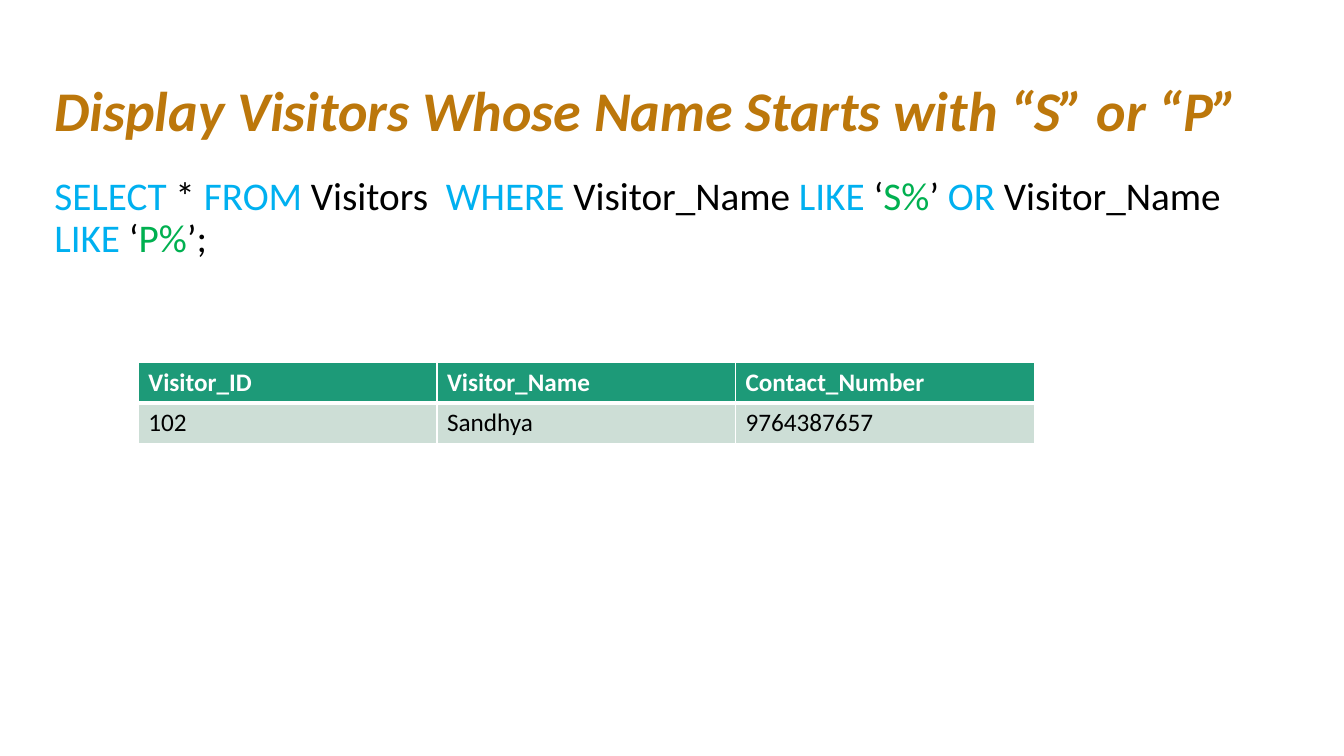
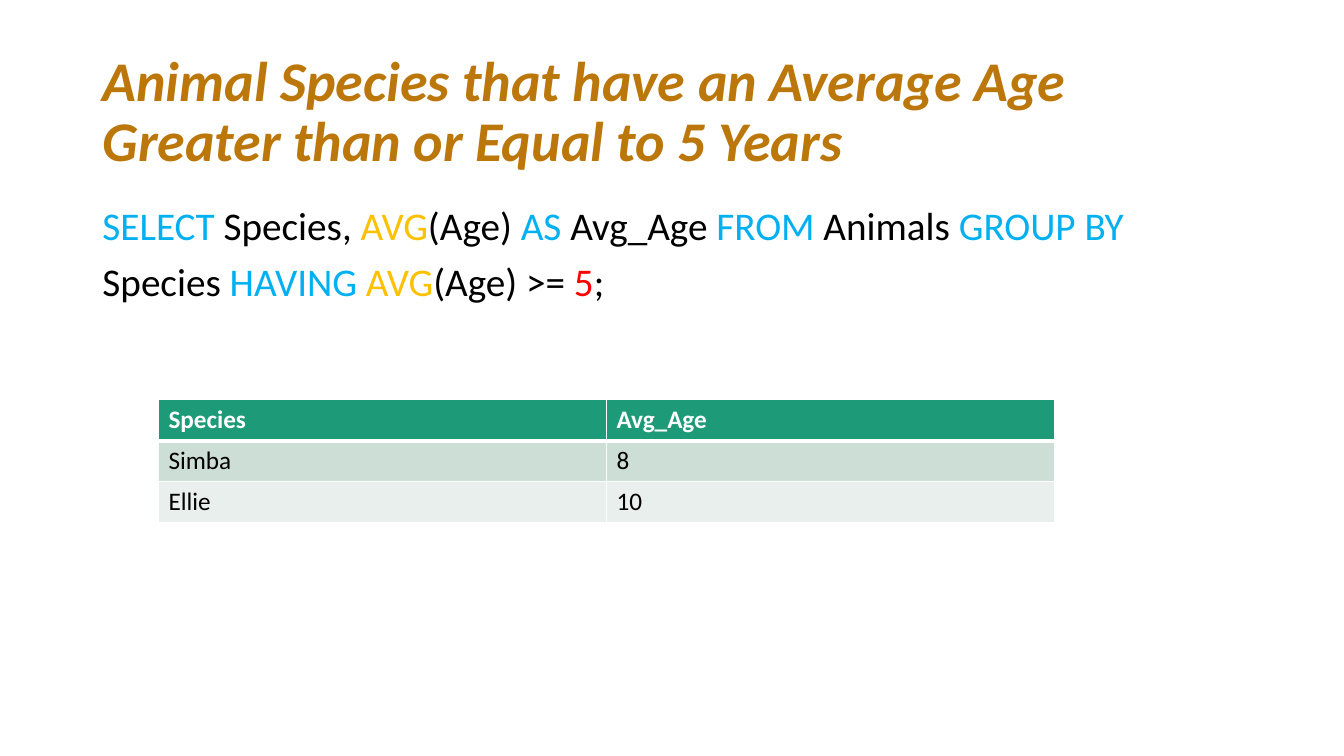
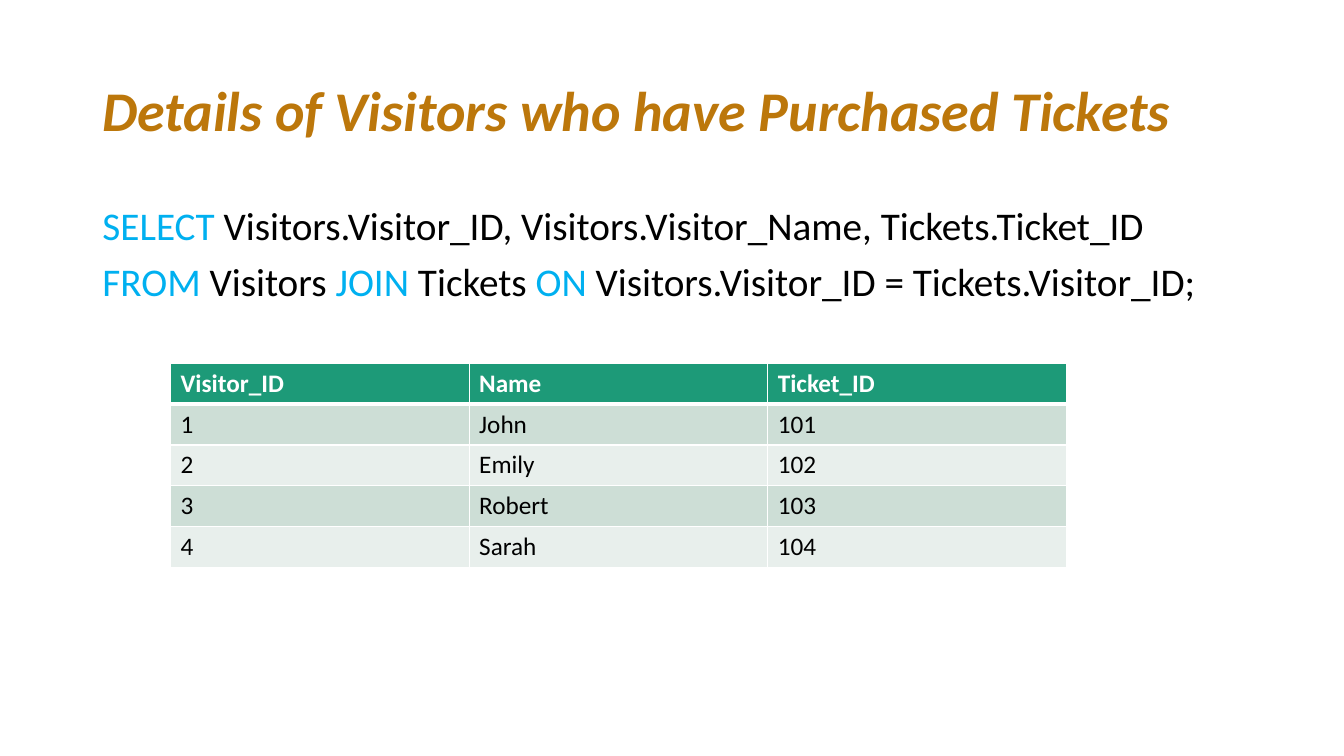
from lxml.etree import SubElement
from pptx import Presentation
from pptx.dml.color import RGBColor
from pptx.enum.text import MSO_ANCHOR, MSO_AUTO_SIZE, PP_ALIGN
from pptx.oxml.ns import qn
from pptx.util import Pt

GOLD = RGBColor(0xBC, 0x77, 0x0B)
BLUE = RGBColor(0x00, 0xB0, 0xF0)
GREEN = RGBColor(0x00, 0xB0, 0x50)
AMBER = RGBColor(0xFF, 0xC0, 0x00)
RED = RGBColor(0xFF, 0x00, 0x00)
BLACK = RGBColor(0x00, 0x00, 0x00)
WHITE = RGBColor(0xFF, 0xFF, 0xFF)
TEAL = RGBColor(0x1D, 0x9A, 0x78)
BANDS = (RGBColor(0xCD, 0xDE, 0xD6), RGBColor(0xE8, 0xEF, 0xEC))

FONT = "Calibri"
TITLE_FONT = {"name": FONT, "size": Pt(40), "bold": True, "italic": True}
QUERY_FONT = {"name": FONT, "size": Pt(28)}
HEADER_FONT = {"name": FONT, "size": Pt(18), "bold": True}
CELL_FONT = {"name": FONT, "size": Pt(18), "bold": False}
TITLE_PARAGRAPH = {"alignment": PP_ALIGN.LEFT, "line_spacing": 0.9}
QUERY_PARAGRAPH = {**TITLE_PARAGRAPH, "space_before": Pt(10)}
TITLE_FRAME = {"auto_size": MSO_AUTO_SIZE.NONE, "word_wrap": True,
               "vertical_anchor": MSO_ANCHOR.MIDDLE}
QUERY_FRAME = {**TITLE_FRAME, "vertical_anchor": MSO_ANCHOR.TOP}

RIGHT_EDGE = 894.4
QUERY_BOTTOM = 486.4
TABLE_WIDTH = 640
ROW_HEIGHT = 29.2

SLIDES = [
    {
        "title": "Display Visitors Whose Name Starts with “S” or “P”",
        "left": 31.6,
        "query_top": 122.6,
        "query": [[
            ("SELECT", BLUE), (" * ", BLACK), ("FROM", BLUE),
            (" Visitors  ", BLACK), ("WHERE ", BLUE),
            ("Visitor_Name ", BLACK), ("LIKE", BLUE), (" ‘", BLACK),
            ("S%", GREEN), ("’ ", BLACK), ("OR ", BLUE),
            ("Visitor_Name ", BLACK), ("LIKE", BLUE), (" ‘", BLACK),
            ("P%", GREEN), ("’;", BLACK),
        ]],
        "table_corner": (98.8, 258.6),
        "rows": [
            ("Visitor_ID", "Visitor_Name", "Contact_Number"),
            ("102", "Sandhya", "9764387657"),
        ],
    },
    {
        "title": "Animal Species that have an Average Age "
                 "Greater than or Equal to 5 Years",
        "left": 66,
        "query_top": 143.8,
        "query": [
            [("SELECT ", BLUE), ("Species, ", BLACK), ("AVG", AMBER),
             ("(Age)", BLACK), (" AS ", BLUE), ("Avg_Age", BLACK),
             (" FROM ", BLUE), ("Animals", BLACK), (" GROUP BY", BLUE)],
            [("Species", BLACK), (" HAVING ", BLUE), ("AVG", AMBER),
             ("(Age) >= ", BLACK), ("5", RED), (";", BLACK)],
        ],
        "table_corner": (113.2, 285.6),
        "rows": [("Species", "Avg_Age"), ("Simba", "8"), ("Ellie", "10")],
    },
    {
        "title": "Details of Visitors who have Purchased Tickets",
        "left": 66,
        "query_top": 143.8,
        "query": [
            [("SELECT ", BLUE),
             ("Visitors.Visitor_ID, Visitors.Visitor_Name, "
              "Tickets.Ticket_ID", BLACK)],
            [("FROM", BLUE), (" Visitors ", BLACK), ("JOIN", BLUE),
             (" Tickets ", BLACK), ("ON ", BLUE),
             ("Visitors.Visitor_ID = Tickets.Visitor_ID;", BLACK)],
        ],
        "table_corner": (121.8, 259.4),
        "rows": [
            ("Visitor_ID", "Name", "Ticket_ID"),
            ("1", "John", "101"),
            ("2", "Emily", "102"),
            ("3", "Robert", "103"),
            ("4", "Sarah", "104"),
        ],
    },
]


def apply_format(target, values):
    for name, value in values.items():
        setattr(target, name, value)


def place(shape, left, top, width, height):
    apply_format(shape, {"left": Pt(left), "top": Pt(top),
                         "width": Pt(width), "height": Pt(height)})


def add_run(paragraph, text, font_format, color):
    run = paragraph.add_run()
    run.text = text
    apply_format(run.font, font_format)
    run.font.color.rgb = color


def fill_title(shape, box, text):
    place(shape, *box)
    apply_format(shape.text_frame, TITLE_FRAME)
    paragraph = shape.text_frame.paragraphs[0]
    apply_format(paragraph, TITLE_PARAGRAPH)
    add_run(paragraph, text, TITLE_FONT, GOLD)


def fill_query(shape, box, lines):
    place(shape, *box)
    frame = shape.text_frame
    apply_format(frame, QUERY_FRAME)
    for index, line in enumerate(lines):
        paragraph = frame.add_paragraph() if index else frame.paragraphs[0]
        apply_format(paragraph, QUERY_PARAGRAPH)
        properties = paragraph._p.get_or_add_pPr()
        properties.set("marL", "0")
        properties.set("indent", "0")
        SubElement(properties, qn("a:buNone"))
        for text, color in line:
            add_run(paragraph, text, QUERY_FONT, color)


def set_borders(cell, top, bottom):
    properties = cell._tc.get_or_add_tcPr()
    for side, weight in (("L", 1), ("R", 1), ("T", top), ("B", bottom)):
        line = SubElement(properties, qn(f"a:ln{side}"), w=str(Pt(weight)))
        fill = SubElement(line, qn("a:solidFill"))
        SubElement(fill, qn("a:srgbClr"), val=str(WHITE))


def add_result_table(slide, box, rows):
    left, top, width, height = map(Pt, box)
    table = slide.shapes.add_table(
        len(rows), len(rows[0]), left, top, width, height).table
    for row_index, values in enumerate(rows):
        is_header = row_index == 0
        for column_index, text in enumerate(values):
            cell = table.cell(row_index, column_index)
            set_borders(cell, 3 if row_index == 1 else 1, 3 if is_header else 1)
            cell.fill.solid()
            cell.fill.fore_color.rgb = (
                TEAL if is_header else BANDS[(row_index - 1) % 2])
            add_run(cell.text_frame.paragraphs[0], text,
                    HEADER_FONT if is_header else CELL_FONT,
                    WHITE if is_header else BLACK)


def add_query_slide(presentation, content):
    slide = presentation.slides.add_slide(presentation.slide_layouts[1])
    left, query_top = content["left"], content["query_top"]
    width = RIGHT_EDGE - left
    rows = content["rows"]
    fill_title(slide.shapes.title, (left, 28.8, width, 104.4),
               content["title"])
    fill_query(slide.placeholders[1],
               (left, query_top, width, QUERY_BOTTOM - query_top),
               content["query"])
    add_result_table(
        slide,
        (*content["table_corner"], TABLE_WIDTH, ROW_HEIGHT * len(rows)),
        rows)


def main():
    presentation = Presentation()
    presentation.slide_width = Pt(960)
    presentation.slide_height = Pt(540)
    for content in SLIDES:
        add_query_slide(presentation, content)
    presentation.save("out.pptx")


if __name__ == "__main__":
    main()
